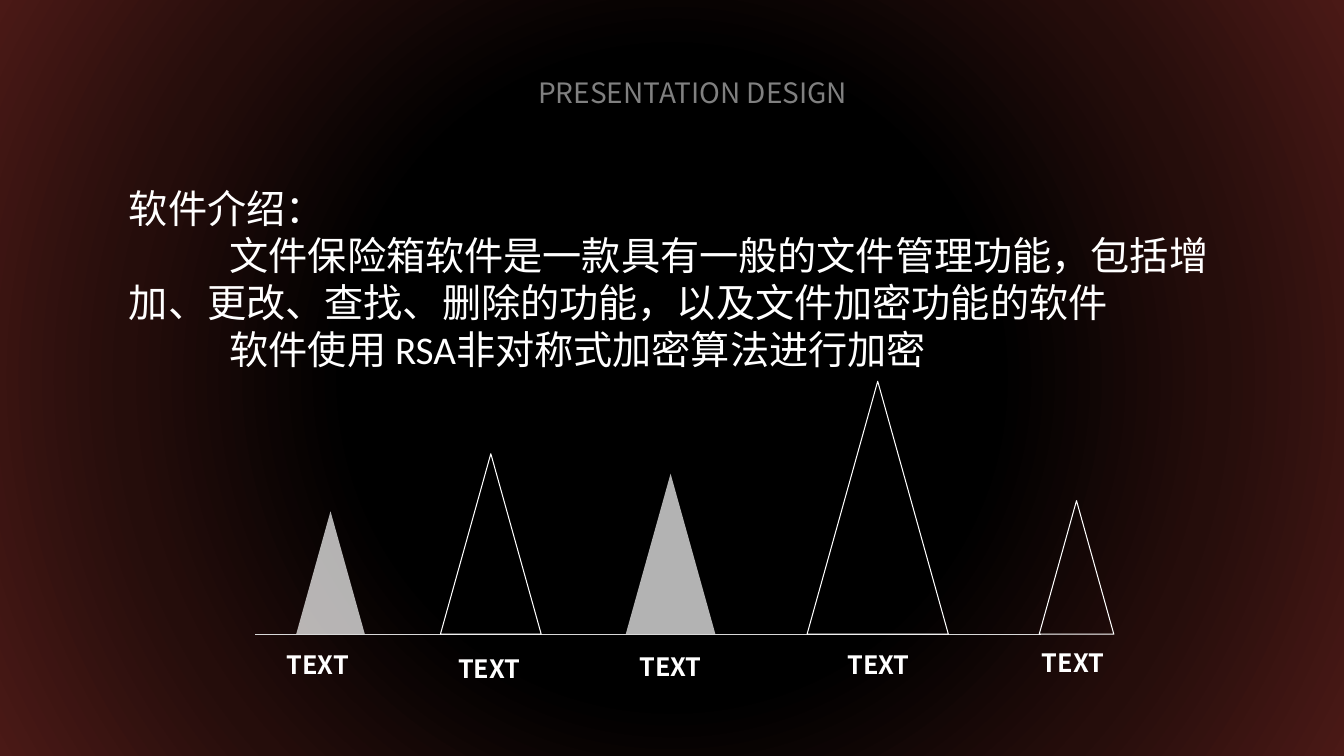
from lxml import etree
from pptx import Presentation
from pptx.dml.color import RGBColor
from pptx.enum.shapes import MSO_CONNECTOR, MSO_SHAPE
from pptx.enum.text import MSO_AUTO_SIZE, PP_ALIGN
from pptx.oxml import parse_xml
from pptx.oxml.ns import nsdecls, qn
from pptx.util import Cm, Pt

TRIANGLE = MSO_SHAPE.ISOSCELES_TRIANGLE
STRAIGHT = MSO_CONNECTOR.STRAIGHT
CENTER = PP_ALIGN.CENTER
LEFT = PP_ALIGN.LEFT
FIT_SHAPE = MSO_AUTO_SIZE.SHAPE_TO_FIT_TEXT

WHITE = RGBColor(0xFF, 0xFF, 0xFF)
GRAY = RGBColor(0x80, 0x80, 0x80)
LIGHT_GRAY = RGBColor(0xD8, 0xD8, 0xD8)
BACKGROUND_STOPS = [
    (42, RGBColor(0x00, 0x00, 0x00)),
    (71, RGBColor(0x25, 0x0D, 0x0B)),
    (100, RGBColor(0x4A, 0x19, 0x16)),
    (100, RGBColor(0x94, 0x32, 0x2B)),
]

CJK_FONT = "Noto Sans CJK SC"
LATIN_FONT = "Calibri"

# Lengths in centimetres
BASELINE = 15.98
HEIGHT_RATIO = 1.79
LABEL_WIDTH, LABEL_HEIGHT = 2.11, 0.97

# Triangle centre, triangle width, filled, label centre, label top
PEAKS = [
    (8.33, 1.73, True, 8.01, 16.23),
    (12.37, 2.54, False, 12.33, 16.33),
    (16.90, 2.26, True, 16.90, 16.28),
    (22.12, 3.56, False, 22.14, 16.23),
    (27.13, 1.88, False, 27.04, 16.18),
]

INTRODUCTION = [
    ("软件介绍：", 0),
    ("文件保险箱软件是一款具有一般的文件管理功能，包括增加、更改、查找、删除的功能，"
     "以及文件加密功能的软件", 2.54),
    ("软件使用 RSA非对称式加密算法进行加密", 2.54),
]


def set_background(slide):
    """Fill the background with a gradient spreading from the centre."""
    slide.background.fill.gradient()
    old_gradient = next(slide.element.iter(qn("a:gradFill")))
    stops = "".join(
        f'<a:gs pos="{position * 1000}"><a:srgbClr val="{color}"/></a:gs>'
        for position, color in BACKGROUND_STOPS
    )
    gradient = parse_xml(
        f'<a:gradFill {nsdecls("a")} rotWithShape="1"><a:gsLst>{stops}</a:gsLst>'
        '<a:path path="circle">'
        '<a:fillToRect l="50000" t="50000" r="50000" b="50000"/>'
        '</a:path></a:gradFill>'
    )
    old_gradient.getparent().replace(old_gradient, gradient)


def add_triangle(slide, center, width, filled):
    """Stand a triangle on the baseline, either filled or outlined."""
    height = width * HEIGHT_RATIO
    shape = slide.shapes.add_shape(
        TRIANGLE, Cm(center - width / 2), Cm(BASELINE - height), Cm(width), Cm(height))
    shape.shadow.inherit = False
    if filled:
        shape.fill.solid()
        shape.fill.fore_color.rgb = WHITE
        color = next(shape.element.spPr.iter(qn("a:srgbClr")))
        etree.SubElement(color, qn("a:alpha"), val="70000")
        shape.line.fill.background()
    else:
        shape.fill.background()
        shape.line.color.rgb = WHITE
        shape.line.width = Pt(0.75)


def add_baseline(slide):
    line = slide.shapes.add_connector(
        STRAIGHT, Cm(6.43), Cm(BASELINE), Cm(26.24), Cm(BASELINE))
    line.line.color.rgb = LIGHT_GRAY
    line.line.width = Pt(0.5)
    etree.SubElement(line.element.spPr, qn("a:effectLst"))


def add_text(slide, left, top, width, height, lines, size, font=CJK_FONT,
             color=WHITE, bold=False, align=LEFT, wrap=True):
    """Add a text box; each line is a pair of text and first-line indent."""
    box = slide.shapes.add_textbox(Cm(left), Cm(top), Cm(width), Cm(height))
    frame = box.text_frame
    frame.word_wrap = wrap
    frame.auto_size = FIT_SHAPE
    for index, (text, indent) in enumerate(lines):
        paragraph = frame.add_paragraph() if index else frame.paragraphs[0]
        paragraph.alignment = align
        if indent:
            properties = paragraph._p.get_or_add_pPr()
            properties.set("marL", "0")
            properties.set("indent", str(Cm(indent)))
        run = paragraph.add_run()
        run.text = text
        run.font.size = Pt(size)
        run.font.bold = bold
        run.font.name = font
        run.font.color.rgb = color
        etree.SubElement(run.font._element, qn("a:ea"), typeface=CJK_FONT)


def main():
    presentation = Presentation()
    presentation.slide_width = Cm(33.87)
    presentation.slide_height = Cm(19.05)
    slide = presentation.slides.add_slide(presentation.slide_layouts[6])
    set_background(slide)

    # Heading and introduction
    add_text(slide, 13.31, 1.78, 9.14, 1.12, [("PRESENTATION DESIGN", 0)], 20, color=GRAY)
    add_text(slide, 3, 4.52, 27.89, 5.05, INTRODUCTION, 28, font=LATIN_FONT)

    # Row of labelled triangles
    add_baseline(slide)
    for center, width, filled, label_center, label_top in PEAKS:
        add_triangle(slide, center, width, filled)
        add_text(slide, label_center - LABEL_WIDTH / 2, label_top, LABEL_WIDTH,
                 LABEL_HEIGHT, [("TEXT", 0)], 18, bold=True, align=CENTER, wrap=False)

    presentation.save("out.pptx")


if __name__ == "__main__":
    main()
